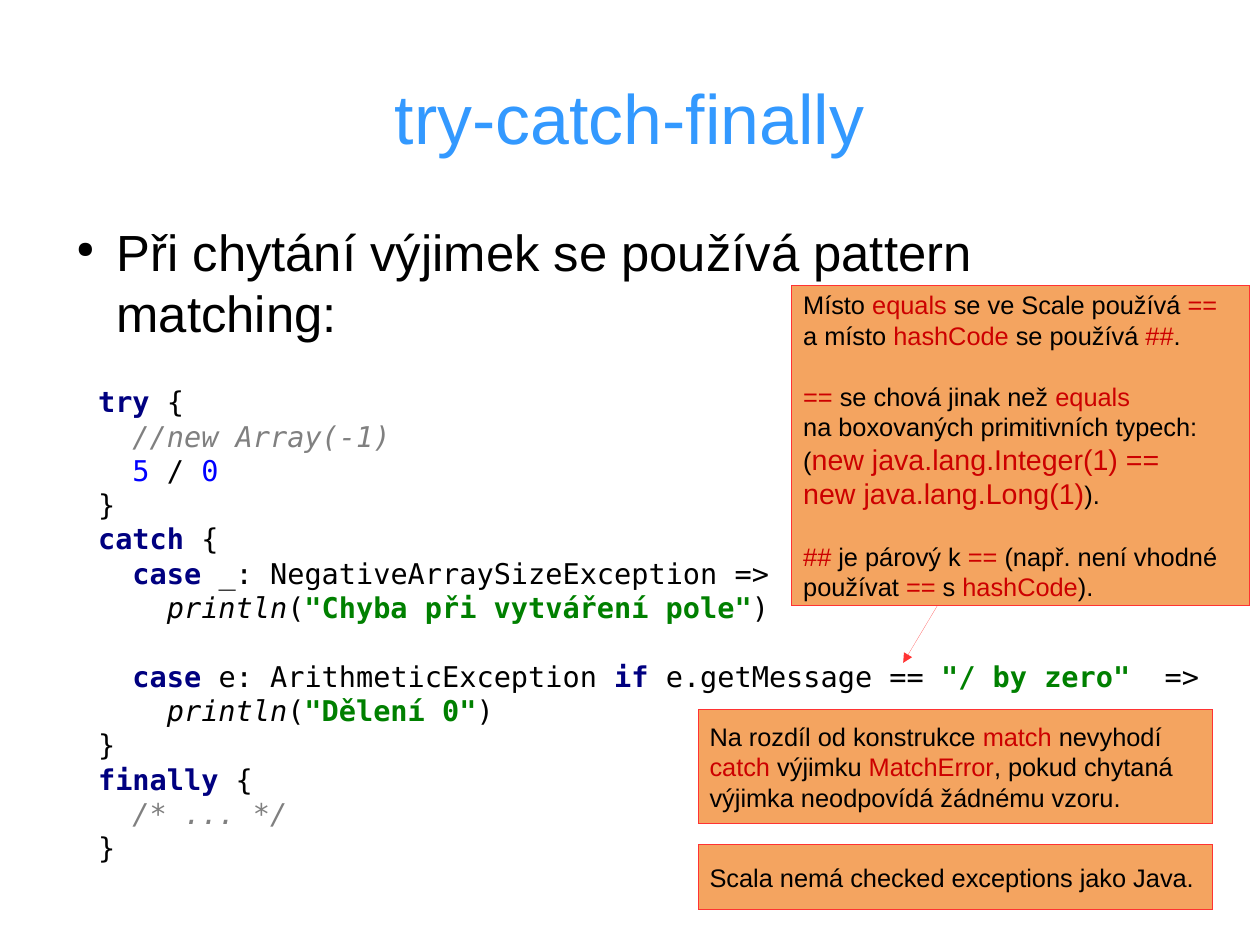
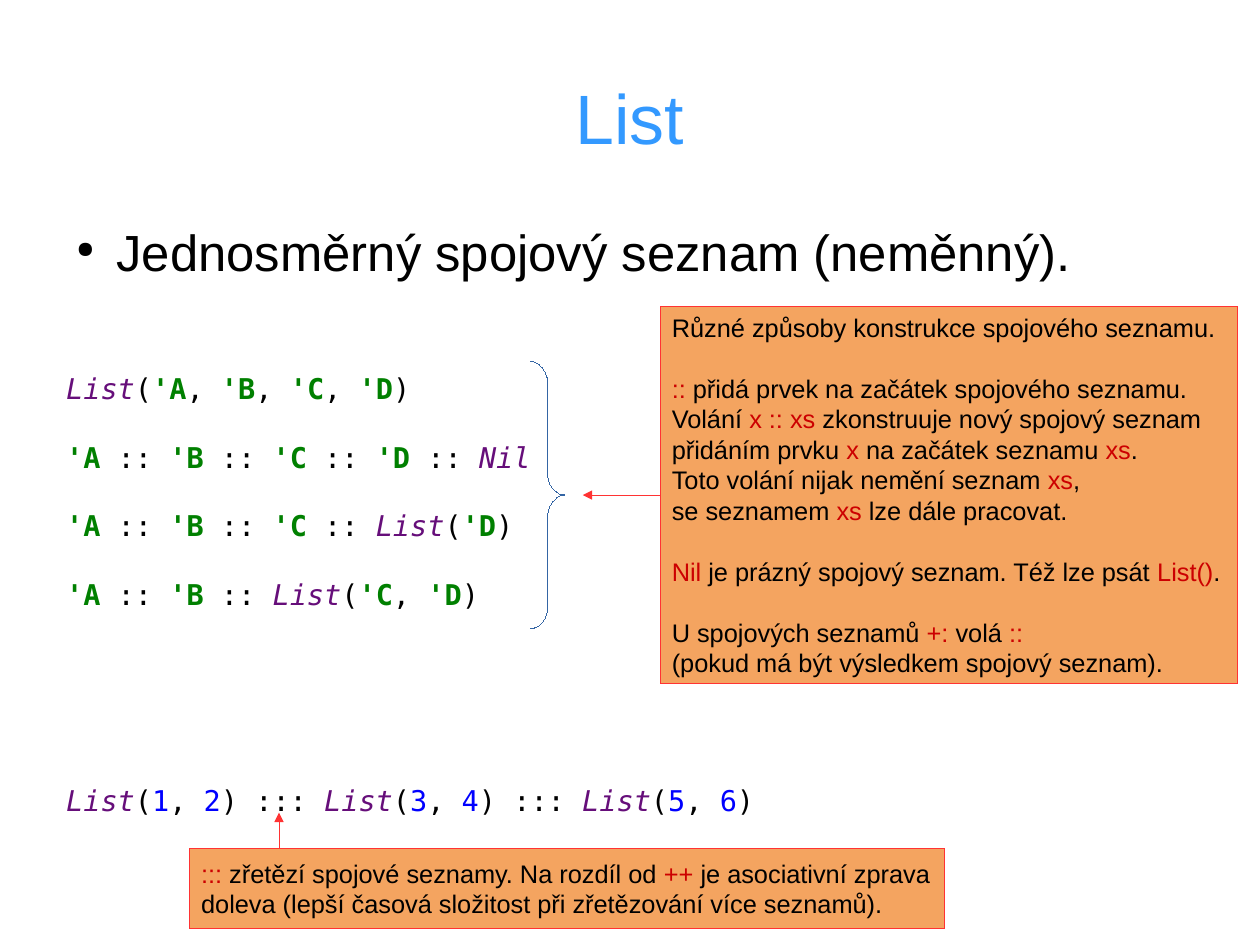
from lxml import etree
from pptx import Presentation
from pptx.dml.color import RGBColor
from pptx.enum.shapes import MSO_CONNECTOR, MSO_SHAPE
from pptx.enum.text import MSO_ANCHOR, MSO_AUTO_SIZE, PP_ALIGN
from pptx.oxml.ns import qn
from pptx.util import Pt

PX = 3600
RECTANGLE, BRACE = MSO_SHAPE.RECTANGLE, MSO_SHAPE.RIGHT_BRACE
STRAIGHT = MSO_CONNECTOR.STRAIGHT
TOP, MIDDLE = MSO_ANCHOR.TOP, MSO_ANCHOR.MIDDLE
LEFT, CENTER = PP_ALIGN.LEFT, PP_ALIGN.CENTER
NO_AUTOFIT = MSO_AUTO_SIZE.NONE
LEFT_SIDE = 1

SANS, MONO, SYMBOLS = "Arial", "DejaVu Sans Mono", "StarSymbol"
TITLE_SIZE, BODY_SIZE, CODE_SIZE, NOTE_SIZE = 44, 32, 18, 16
LINE_PITCH = 1.2
HAIRLINE = Pt(0.01)
COLORS = {
    "title": "3399FF",
    "text": "000000",
    "keyword": "000080",
    "comment": "808080",
    "number": "0000FF",
    "string": "008000",
    "name": "660E7A",
    "term": "CC0000",
    "note": "F4A460",
    "edge": "FF3333",
    "brace": "3465A4",
}
STYLES = {
    "k": {"color": "keyword", "bold": True},
    "c": {"color": "comment", "italic": True},
    "n": {"color": "number"},
    "s": {"color": "string", "bold": True},
    "f": {"color": "text", "italic": True},
    "l": {"color": "name", "italic": True},
    "r": {"color": "term"},
    "R": {"color": "term", "size": 18},
}

TRY_CODE = """\
~ktry ~{
  ~c//new Array(-1)~
  ~n5 ~/ ~n0~
}
~kcatch ~{
  ~kcase ~_: NegativeArraySizeException =>
~f    println~(~s"Chyba při vytváření pole"~)

  ~kcase ~e: ArithmeticException ~kif ~e.getMessage == ~s"/ by zero"  ~=>
~f    println~(~s"Dělení 0"~)
}
~kfinally ~{
  ~c/* ... */~
}"""
MATCH_NOTE = """\
Na rozdíl od konstrukce ~rmatch~ nevyhodí
~rcatch~ výjimku ~rMatchError~, pokud chytaná
výjimka neodpovídá žádnému vzoru."""
CHECKED_NOTE = "Scala nemá checked exceptions jako Java."
EQUALS_NOTE = """\
Místo ~requals~ se ve Scale používá ~r==~
a místo ~rhashCode~ se používá ~r##~.

~r==~ se chová jinak než ~requals~
na boxovaných primitivních typech:
(~Rnew java.lang.Integer(1) ==~
~Rnew java.lang.Long(1)~).

~r##~ je párový k ~r==~ (např. není vhodné
používat ~r==~ s ~rhashCode~)."""
LIST_CODE = """\
~lList~(~s'A~, ~s'B~, ~s'C~, ~s'D~)

~s'A ~:: ~s'B ~:: ~s'C ~:: ~s'D ~:: ~lNil~

~s'A ~:: ~s'B ~:: ~s'C ~:: ~lList~(~s'D~)

~s'A ~:: ~s'B ~:: ~lList~(~s'C~, ~s'D~)





~lList~(~n1~, ~n2~) ::: ~lList~(~n3~, ~n4~) ::: ~lList~(~n5~, ~n6~)"""
CONS_NOTE = """\
Různé způsoby konstrukce spojového seznamu.

~r::~ přidá prvek na začátek spojového seznamu.
Volání ~rx :: xs~ zkonstruuje nový spojový seznam
přidáním prvku ~rx~ na začátek seznamu ~rxs~.
Toto volání nijak nemění seznam ~rxs~,
se seznamem ~rxs~ lze dále pracovat.

~rNil~ je prázný spojový seznam. Též lze psát ~rList()~.

U spojových seznamů ~r+:~ volá ~r::~
(pokud má být výsledkem spojový seznam)."""
CONCAT_NOTE = """\
~r:::~ zřetězí spojové seznamy. Na rozdíl od ~r++~ je asociativní zprava
doleva (lepší časová složitost při zřetězování více seznamů)."""


def px(*lengths):
    return [length * PX for length in lengths]


def rgb(name):
    return RGBColor.from_string(COLORS[name])


def style_span(span, face, size, color="text", bold=False, italic=False):
    span.font.name = face
    span.font.size = Pt(size)
    span.font.bold = bold
    span.font.italic = italic
    span.font.color.rgb = rgb(color)


def set_frame(frame, anchor, inset_x=0, inset_y=0):
    frame.auto_size = NO_AUTOFIT
    frame.word_wrap = True
    frame.vertical_anchor = anchor
    frame.margin_left = frame.margin_right = inset_x * PX
    frame.margin_top = frame.margin_bottom = inset_y * PX


def write_lines(frame, markup, face, size):
    para, blanks = None, 0
    for line in markup.split("\n"):
        if not line:
            blanks += 1
            continue
        para = frame.paragraphs[0] if para is None else frame.add_paragraph()
        para.alignment = LEFT
        if blanks:
            para.space_before = Pt(blanks * size * LINE_PITCH)
        blanks, largest = 0, size
        for index, piece in enumerate(line.split("~")):
            if not piece:
                continue
            style = {"size": size}
            if index % 2:
                style.update(STYLES[piece[0]])
                piece = piece[1:]
            span = para.add_run()
            span.text = piece
            style_span(span, face, **style)
            largest = max(largest, style["size"])
        para.line_spacing = Pt(largest * LINE_PITCH)


def add_titled_page(deck, title, point):
    page = deck.slides.add_slide(deck.slide_layouts[5])
    heading = page.shapes.title
    heading.left, heading.top, heading.width, heading.height = px(140, 84, 2520, 350)
    heading.text_frame.text = title
    set_frame(heading.text_frame, MIDDLE)
    para = heading.text_frame.paragraphs[0]
    para.alignment = CENTER
    style_span(para.runs[0], SANS, TITLE_SIZE, "title")

    box = page.shapes.add_textbox(*px(140, 490, 2520, 1217))
    set_frame(box.text_frame, TOP)
    write_lines(box.text_frame, point, SANS, BODY_SIZE)
    add_bullet(box.text_frame.paragraphs[0])
    return page


def add_bullet(para):
    properties = para._p.get_or_add_pPr()
    properties.set("marL", str(119 * PX))
    properties.set("indent", str(-89 * PX))
    color = etree.SubElement(properties, qn("a:buClr"))
    etree.SubElement(color, qn("a:srgbClr"), val=COLORS["text"])
    etree.SubElement(properties, qn("a:buSzPct"), val="45000")
    etree.SubElement(properties, qn("a:buFont"), typeface=SYMBOLS)
    etree.SubElement(properties, qn("a:buChar"), char="●")


def add_code(page, place, markup):
    box = page.shapes.add_textbox(*px(*place))
    set_frame(box.text_frame, TOP, 25, 13)
    write_lines(box.text_frame, markup, MONO, CODE_SIZE)


def set_hairline(shape, color):
    shape.line.color.rgb = rgb(color)
    shape.line.width = HAIRLINE


def add_outlined(page, preset, place, edge):
    shape = page.shapes.add_shape(preset, *px(*place))
    shape.shadow.inherit = False
    set_hairline(shape, edge)
    return shape


def add_note(page, place, markup):
    note = add_outlined(page, RECTANGLE, place, "edge")
    note.fill.solid()
    note.fill.fore_color.rgb = rgb("note")
    set_frame(note.text_frame, MIDDLE, 25, 13)
    write_lines(note.text_frame, markup, SANS, NOTE_SIZE)
    return note


def add_brace(page, place):
    brace = add_outlined(page, BRACE, place, "brace")
    brace.fill.background()
    brace.adjustments[0] = 0.65
    brace.adjustments[1] = 0.5


def add_arrow(page, start, end):
    arrow = page.shapes.add_connector(STRAIGHT, *px(*start, *end))
    set_hairline(arrow, "edge")
    properties = arrow._element.spPr
    etree.SubElement(properties.find(qn("a:ln")), qn("a:tailEnd"), type="triangle")
    etree.SubElement(properties, qn("a:effectLst"))
    return arrow


def build_try_page(deck):
    page = add_titled_page(
        deck, "try-catch-finally", "Při chytání výjimek se používá pattern matching:"
    )
    add_code(page, (193, 841, 2550, 1069), TRY_CODE)
    add_note(page, (1552, 1577, 1143, 254), MATCH_NOTE)
    add_note(page, (1552, 1877, 1143, 145), CHECKED_NOTE)
    add_note(page, (1760, 635, 1016, 711), EQUALS_NOTE)
    add_arrow(page, (2083, 1346), (2007, 1473))


def build_list_page(deck):
    page = add_titled_page(deck, "List", "Jednosměrný spojový seznam (neměnný).")
    add_code(page, (122, 812, 1793, 993), LIST_CODE)
    cons_note = add_note(page, (1468, 681, 1283, 838), CONS_NOTE)
    add_brace(page, (1179, 803, 76, 594))
    arrow = add_arrow(page, (1468, 1100), (1295, 1100))
    arrow.begin_connect(cons_note, LEFT_SIDE)
    add_note(page, (422, 1885, 1676, 178), CONCAT_NOTE)
    add_arrow(page, (620, 1885), (620, 1806))


def main():
    deck = Presentation()
    deck.slide_width, deck.slide_height = px(2800, 2100)
    build_try_page(deck)
    build_list_page(deck)
    deck.save("out.pptx")


if __name__ == "__main__":
    main()
